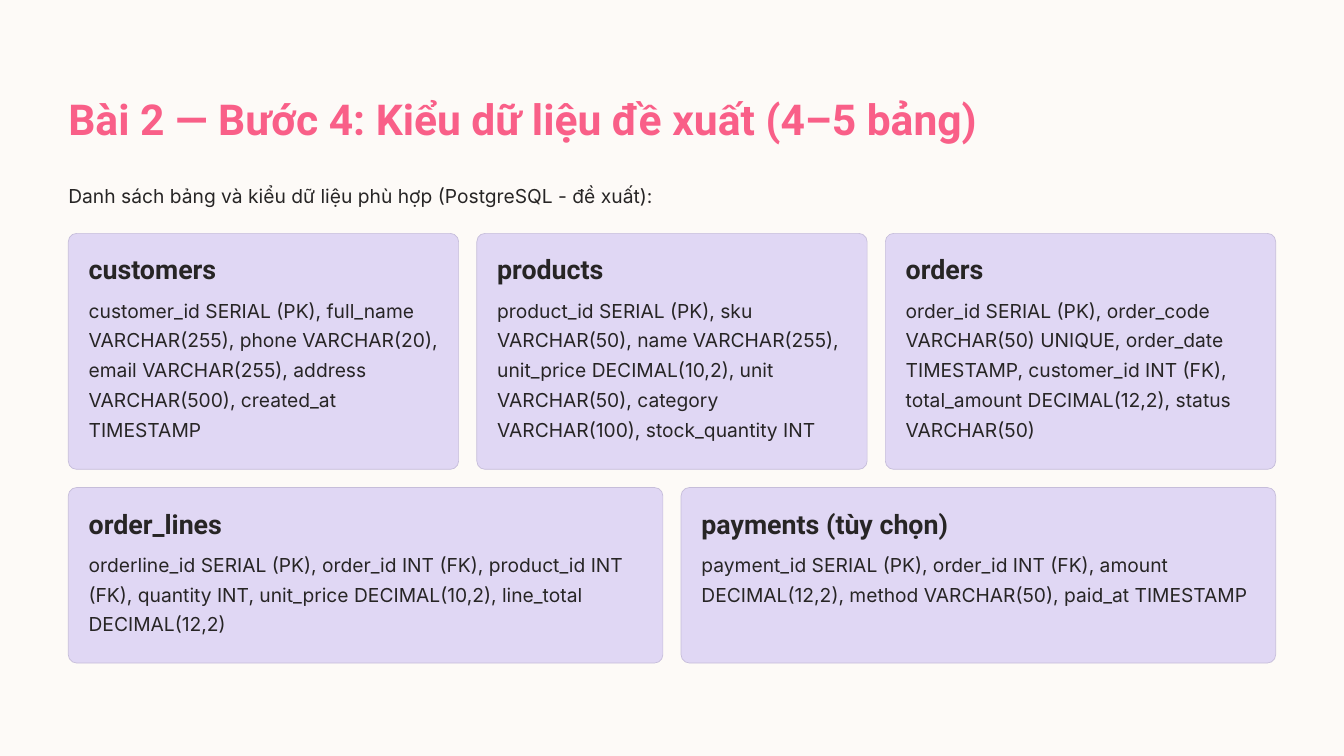
from pptx import Presentation
from pptx.dml.color import RGBColor as Rgb
from pptx.enum.shapes import MSO_SHAPE as Kind
from pptx.enum.text import MSO_AUTO_SIZE as Fit
from pptx.util import Pt

# Content: each card is (table name, columns, lines of text)
TITLE = "Bài 2 — Bước 4: Kiểu dữ liệu đề xuất (4–5 bảng)"
INTRO = "Danh sách bảng và kiểu dữ liệu phù hợp (PostgreSQL - đề xuất):"
ROWS = [
    [
        ("customers", "customer_id SERIAL (PK), full_name VARCHAR(255), phone VARCHAR(20), "
         "email VARCHAR(255), address VARCHAR(500), created_at TIMESTAMP", 5),
        ("products", "product_id SERIAL (PK), sku VARCHAR(50), name VARCHAR(255), "
         "unit_price DECIMAL(10,2), unit VARCHAR(50), category VARCHAR(100), "
         "stock_quantity INT", 5),
        ("orders", "order_id SERIAL (PK), order_code VARCHAR(50) UNIQUE, "
         "order_date TIMESTAMP, customer_id INT (FK), total_amount DECIMAL(12,2), "
         "status VARCHAR(50)", 5),
    ],
    [
        ("order_lines", "orderline_id SERIAL (PK), order_id INT (FK), product_id INT (FK), "
         "quantity INT, unit_price DECIMAL(10,2), line_total DECIMAL(12,2)", 3),
        ("payments (tùy chọn)", "payment_id SERIAL (PK), order_id INT (FK), "
         "amount DECIMAL(12,2), method VARCHAR(50), paid_at TIMESTAMP", 2),
    ],
]

# Theme: colours, and type as (line pitch, font values)
INK = Rgb.from_string("272525")
THEME = {
    "back": Rgb.from_string("FDFAF7"),
    "card": Rgb.from_string("E0D7F4"),
    "edge": Rgb.from_string("C6BDDA"),
    "title": (57.5, {"name": "Roboto", "size": Pt(45.6), "bold": True,
                     "color": Rgb.from_string("F95F88")}),
    "head": (35.6, {"name": "Roboto", "size": Pt(28.7), "bold": True, "color": INK}),
    "body": (31.9, {"name": "Inter", "size": Pt(20.6), "bold": False, "color": INK}),
}

# Layout, in points
WIDE, HIGH = 1440, 810
LEFT, SPAN, GAP = 73.2, 1293.6, 19.5
TOP, PAD, RADIUS = 250.1, 21.8, 8.9
HEAD_Y, BODY_Y = 20, 63


def body_high(lines):
    return 32.4 * lines + 6


def add_text(slide, text, style, x, y, w, h):
    pitch, look = THEME[style]
    frame = slide.shapes.add_textbox(Pt(x), Pt(y), Pt(w), Pt(h)).text_frame
    setup = {"word_wrap": True, "auto_size": Fit.SHAPE_TO_FIT_TEXT, "margin_left": 0,
             "margin_right": 0, "margin_top": 0, "margin_bottom": 0}
    for key, val in setup.items():
        setattr(frame, key, val)
    para = frame.paragraphs[0]
    para.line_spacing = Pt(pitch)
    run = para.add_run()
    run.text = text
    for key, val in look.items():
        if key == "color":
            run.font.color.rgb = val
        else:
            setattr(run.font, key, val)


def add_card(slide, card, x, y, w, h):
    name, cols, lines = card
    box = slide.shapes.add_shape(Kind.ROUNDED_RECTANGLE, Pt(x), Pt(y), Pt(w), Pt(h))
    box.adjustments[0] = RADIUS / min(w, h)
    box.shadow.inherit = False
    box.fill.solid()
    box.fill.fore_color.rgb = THEME["card"]
    box.line.color.rgb = THEME["edge"]
    box.line.width = Pt(0.75)
    add_text(slide, name, "head", x + PAD, y + HEAD_Y, 287, 37.4)
    add_text(slide, cols, "body", x + PAD, y + BODY_Y, w - 2 * PAD, body_high(lines))


def main():
    deck = Presentation()
    deck.slide_width, deck.slide_height = Pt(WIDE), Pt(HIGH)
    slide = deck.slides.add_slide(deck.slide_layouts[6])
    slide.background.fill.solid()
    slide.background.fill.fore_color.rgb = THEME["back"]

    # Title and intro
    add_text(slide, TITLE, "title", LEFT, 97.2, 976.3, 59.8)
    add_text(slide, INTRO, "body", LEFT, 190.1, SPAN, 38.2)

    # Cards: equal widths fill each row, the longest text sets its height
    y = TOP
    for row in ROWS:
        w = (SPAN - GAP * (len(row) - 1)) / len(row)
        h = BODY_Y + max(body_high(card[2]) for card in row) + PAD
        for i, card in enumerate(row):
            add_card(slide, card, LEFT + i * (w + GAP), y, w, h)
        y += h + GAP

    deck.save("out.pptx")


if __name__ == "__main__":
    main()
